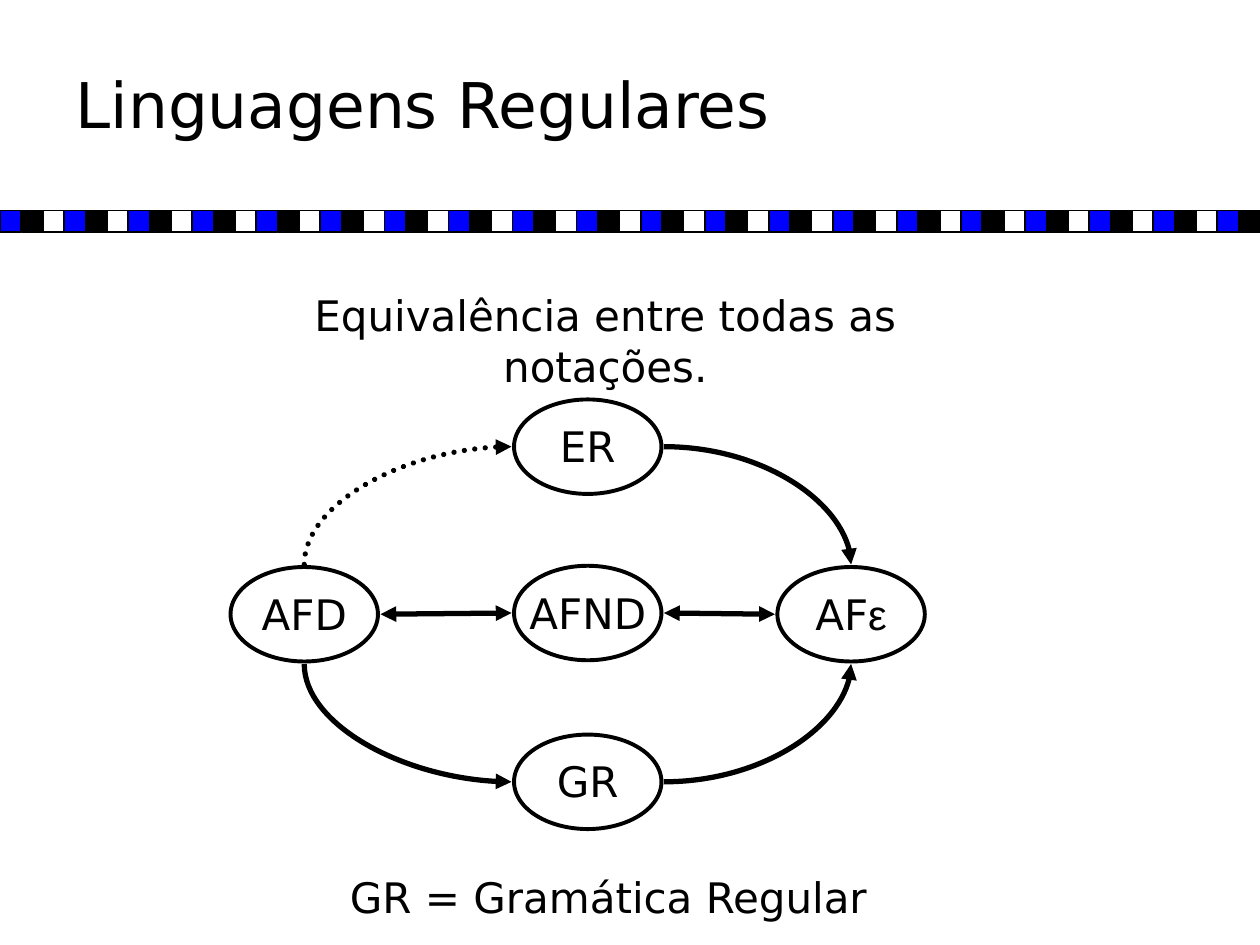
from itertools import cycle, islice

from lxml.etree import SubElement
from pptx import Presentation
from pptx.dml.color import RGBColor
from pptx.enum.dml import MSO_LINE
from pptx.enum.shapes import MSO_CONNECTOR, MSO_SHAPE
from pptx.enum.text import MSO_ANCHOR, PP_ALIGN
from pptx.oxml.ns import qn
from pptx.util import Inches, Pt

BLACK, WHITE, BLUE = "000000", "FFFFFF", "0000FF"
NODE_WIDTH, NODE_HEIGHT = 1.17, 0.75
ARROW_GAP = 0.02


def color(value):
    return RGBColor.from_string(value)


def write(paragraph, text, size=24, font="DejaVu Sans", fill=BLACK, align=PP_ALIGN.CENTER):
    paragraph.alignment = align
    run = paragraph.add_run()
    run.text = text
    run.font.size = Pt(size)
    run.font.name = font
    run.font.color.rgb = color(fill)


def set_margins(frame, horizontal, vertical):
    frame.margin_left = frame.margin_right = Inches(horizontal)
    frame.margin_top = frame.margin_bottom = Inches(vertical)
    frame.word_wrap = True


def add_text(slide, left, top, width, height, text, margins=(0.02, 0.01), **text_format):
    box = slide.shapes.add_textbox(Inches(left), Inches(top), Inches(width), Inches(height))
    set_margins(box.text_frame, *margins)
    paragraph = box.text_frame.paragraphs[0]
    write(paragraph, text, **text_format)
    return paragraph


def add_title(slide, left, top, width, height, text):
    title = slide.shapes.title
    title.left, title.top = Inches(left), Inches(top)
    title.width, title.height = Inches(width), Inches(height)
    set_margins(title.text_frame, 0.1, 0.05)
    title.text_frame.vertical_anchor = MSO_ANCHOR.MIDDLE
    write(title.text_frame.paragraphs[0], text, size=36, align=PP_ALIGN.LEFT)


def add_checkered_band(slide, left, top, width, height, count=59):
    band = slide.shapes.add_group_shape()
    pitch = width / count
    for index, fill in enumerate(islice(cycle((BLUE, BLACK, WHITE)), count)):
        tile = band.shapes.add_shape(
            MSO_SHAPE.RECTANGLE,
            Inches(left + index * pitch), Inches(top), Inches(pitch), Inches(height))
        tile.shadow.inherit = False
        tile.fill.solid()
        tile.fill.fore_color.rgb = color(fill)
        tile.line.color.rgb = color(BLACK)
        tile.line.width = Pt(1)


def add_node(slide, left, top, text, label_width=0.83, suffix=None):
    """Draw a labelled ellipse and return the points where arrows meet it."""
    ellipse = slide.shapes.add_shape(
        MSO_SHAPE.OVAL, Inches(left), Inches(top), Inches(NODE_WIDTH), Inches(NODE_HEIGHT))
    ellipse.shadow.inherit = False
    ellipse.fill.background()
    ellipse.line.color.rgb = color(BLACK)
    ellipse.line.width = Pt(2.25)
    label_left = left + (NODE_WIDTH - label_width) / 2
    label = add_text(slide, label_left, top + 0.16, label_width, 0.42, text)
    if suffix:
        write(label, suffix, font="Arial")
    center_x, center_y = left + NODE_WIDTH / 2, top + NODE_HEIGHT / 2
    return {
        "top": (center_x, top - ARROW_GAP),
        "bottom": (center_x, top + NODE_HEIGHT + ARROW_GAP),
        "left": (left - ARROW_GAP, center_y),
        "right": (left + NODE_WIDTH + ARROW_GAP, center_y),
    }


def add_arrow(slide, start, end, kind=MSO_CONNECTOR.STRAIGHT, both_ends=False, dotted=False):
    arrow = slide.shapes.add_connector(kind, *(Inches(value) for value in (*start, *end)))
    arrow.line.color.rgb = color(BLACK)
    arrow.line.width = Pt(3)
    outline = arrow.line._get_or_add_ln()
    if dotted:
        arrow.line.dash_style = MSO_LINE.ROUND_DOT
        outline.set("cap", "rnd")
    for tag in ("a:headEnd", "a:tailEnd") if both_ends else ("a:tailEnd",):
        SubElement(outline, qn(tag), type="triangle")
    SubElement(arrow._element.spPr, qn("a:effectLst"))
    return arrow


def add_curve(slide, start, end, starts_vertical=False, dotted=False):
    """Draw a quarter-turn arrow; one that leaves vertically is a turned box."""
    arrow = add_arrow(slide, start, end, MSO_CONNECTOR.CURVE, dotted=dotted)
    properties = arrow._element.spPr
    properties.find(qn("a:prstGeom")).set("prst", "curvedConnector2")
    if starts_vertical:
        (start_x, start_y), (end_x, end_y) = start, end
        width, height = abs(end_y - start_y), abs(end_x - start_x)
        arrow.left = Inches((start_x + end_x - width) / 2)
        arrow.top = Inches((start_y + end_y - height) / 2)
        arrow.width, arrow.height = Inches(width), Inches(height)
        rises = end_y < start_y
        transform = properties.find(qn("a:xfrm"))
        transform.set("rot", str((90 if rises else 270) * 60000))
        transform.set("flipH", "1")
        transform.set("flipV", "1" if rises else "0")


def add_equivalence_diagram(slide, left, top):
    middle, right = left + 2.25, left + 4.34
    # Notations
    er = add_node(slide, middle, top, "ER")
    afnd = add_node(slide, middle, top + 1.32, "AFND", label_width=1)
    af_epsilon = add_node(slide, right, top + 1.33, "AF", suffix="ε")
    gr = add_node(slide, middle, top + 2.66, "GR")
    afd = add_node(slide, left, top + 1.33, "AFD")
    # Conversions
    add_curve(slide, afd["top"], er["left"], starts_vertical=True, dotted=True)
    add_curve(slide, er["right"], af_epsilon["top"])
    add_curve(slide, afd["bottom"], gr["left"], starts_vertical=True)
    add_curve(slide, gr["right"], af_epsilon["bottom"])
    add_arrow(slide, afd["right"], afnd["left"], both_ends=True)
    add_arrow(slide, afnd["right"], af_epsilon["left"], both_ends=True)


def main():
    presentation = Presentation()
    presentation.slide_width, presentation.slide_height = Inches(10), Inches(7.5)
    slide = presentation.slides.add_slide(presentation.slide_layouts[5])
    slide.background.fill.solid()
    slide.background.fill.fore_color.rgb = color(WHITE)

    # Heading
    add_checkered_band(slide, 0, 1.67, 10, 0.17)
    add_title(slide, 0.5, 0.28, 9.08, 1.08, "Linguagens Regulares")
    # Statement, diagram and legend
    add_text(slide, 1.77, 2.25, 6.07, 0.5, "Equivalência entre todas as notações.",
             margins=(0.1, 0.05))
    add_equivalence_diagram(slide, 1.83, 3.17)
    add_text(slide, 2.58, 6.91, 4.5, 0.42, "GR = Gramática Regular")

    presentation.save("out.pptx")


if __name__ == "__main__":
    main()
